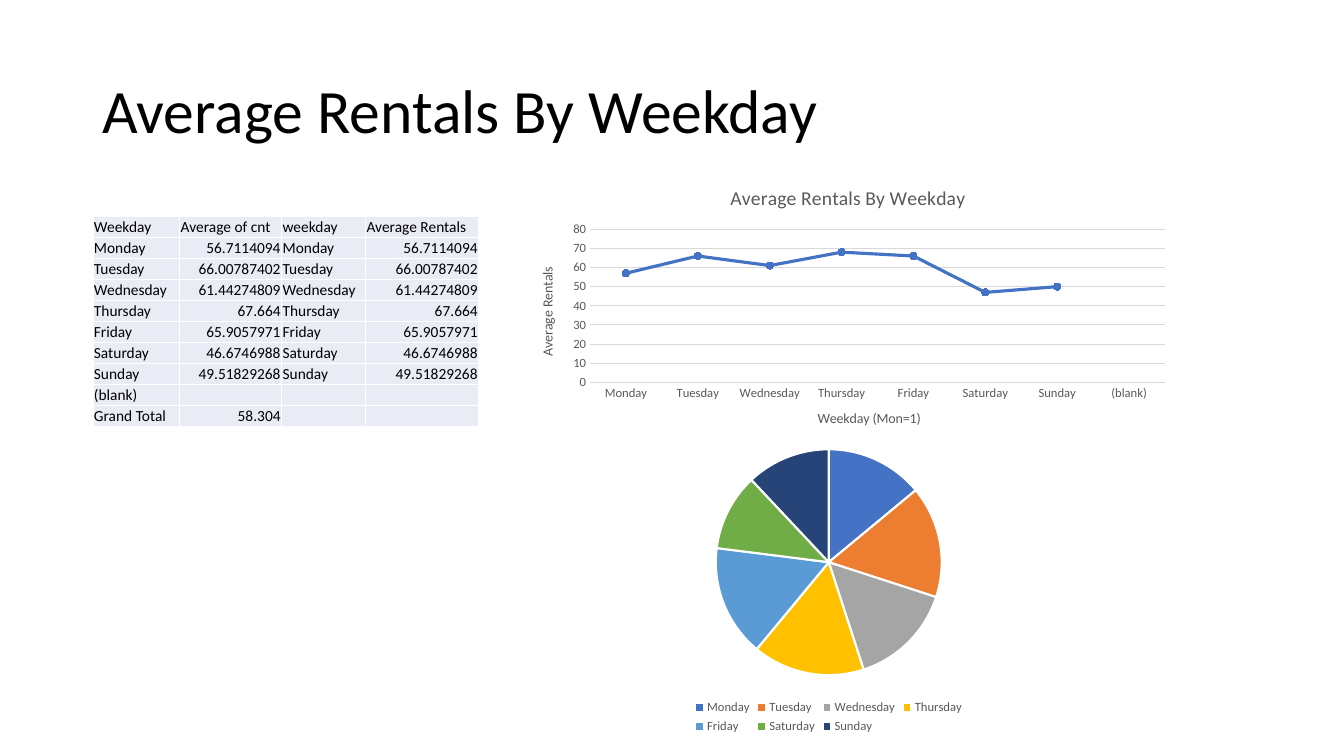
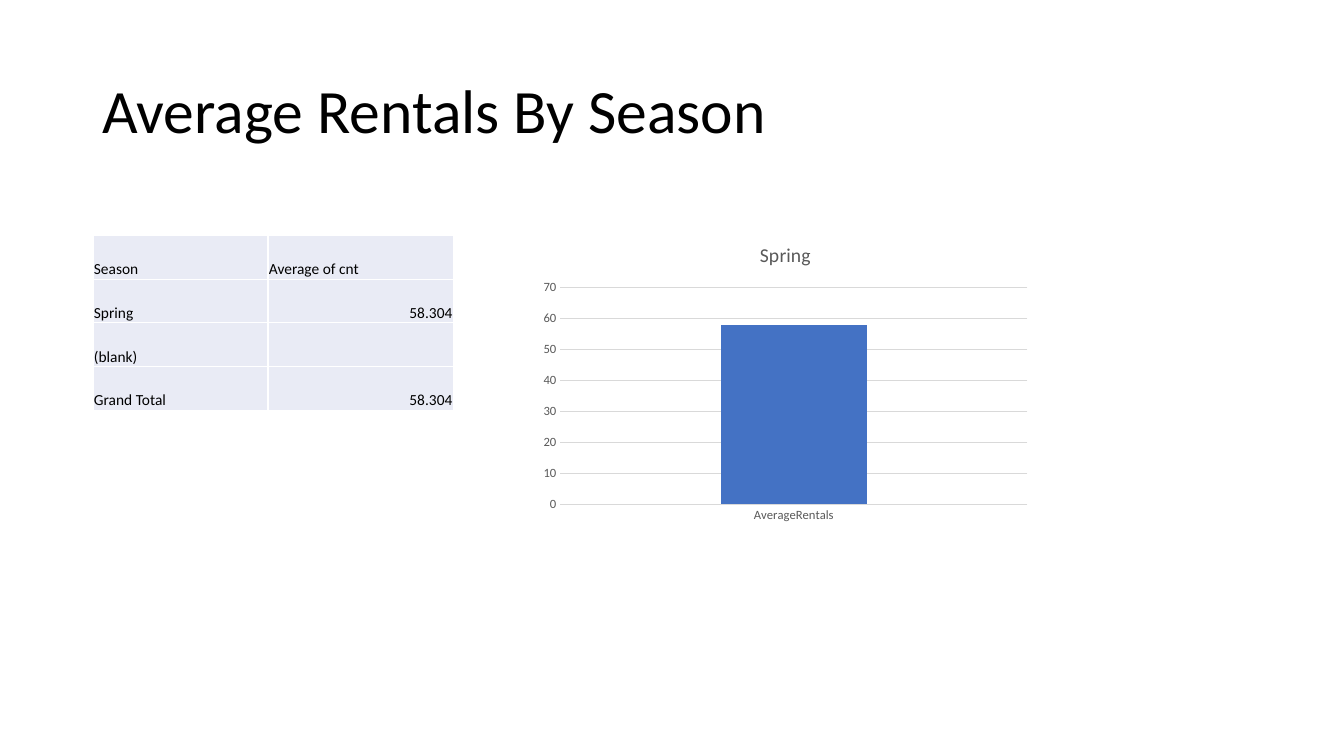
from dataclasses import dataclass
from typing import Optional

import pptx
import pptx.chart.data
import pptx.dml.color
import pptx.enum.chart
import pptx.enum.text
import pptx.oxml
import pptx.oxml.ns
import pptx.util
from lxml import etree

Pt = pptx.util.Pt
ChartType = pptx.enum.chart.XL_CHART_TYPE

FONT = "Calibri"
COLORS = {
    "text": "000000", "chart_text": "595959", "grid": "D9D9D9",
    "cell": "E9EBF5", "white": "FFFFFF", "blue": "4472C4",
}
PIE_COLORS = ["4472C4", "ED7D31", "A5A5A5", "FFC000", "5B9BD5", "70AD47", "264478"]

# Content
RENTALS_BY_DAY = {
    "Monday": "56.7114094", "Tuesday": "66.00787402", "Wednesday": "61.44274809",
    "Thursday": "67.664", "Friday": "65.9057971", "Saturday": "46.6746988",
    "Sunday": "49.51829268",
}
OVERALL_AVERAGE = "58.304"


@dataclass
class Box:
    left: float
    top: float
    width: float
    height: float

    def lengths(self) -> tuple:
        return Pt(self.left), Pt(self.top), Pt(self.width), Pt(self.height)


@dataclass
class TableSpec:
    left: float
    top: float
    columns: list[float]
    row_height: float
    rows: list[list[str]]


@dataclass
class ChartSpec:
    kind: ChartType
    box: Box
    categories: list[str]
    values: list[Optional[int]]
    series: str = "Series 1"
    title: str = ""
    category_title: str = ""
    value_title: str = ""
    maximum: int = 0


TITLE_BOX = Box(66, 29, 828, 104.4)


def rgb(name: str) -> pptx.dml.color.RGBColor:
    return pptx.dml.color.RGBColor.from_string(COLORS.get(name, name))


def set_font(font, size: float, color: str) -> None:
    font.name, font.size, font.bold = FONT, Pt(size), False
    font.color.rgb = rgb(color)


def add_title(slide, text: str) -> None:
    frame = slide.shapes.add_textbox(*TITLE_BOX.lengths()).text_frame
    frame.word_wrap = True
    frame.vertical_anchor = pptx.enum.text.MSO_ANCHOR.MIDDLE
    heading = frame.paragraphs[0]
    heading.text = text
    heading.line_spacing = 0.9
    set_font(heading.font, 44, "text")


# Tables
def add_borders(cell) -> None:
    properties = cell._tc.get_or_add_tcPr()
    for side in ("lnL", "lnR", "lnT", "lnB"):
        properties.append(pptx.oxml.parse_xml(
            f'<a:{side} {pptx.oxml.ns.nsdecls("a")} w="{Pt(1)}"><a:solidFill>'
            f'<a:srgbClr val="{COLORS["white"]}"/></a:solidFill></a:{side}>'))


def fill_cell(cell, text: str) -> None:
    add_borders(cell)
    cell.fill.solid()
    cell.fill.fore_color.rgb = rgb("cell")
    cell.margin_left = cell.margin_right = cell.margin_top = Pt(0.7)
    cell.margin_bottom = 0
    cell.vertical_anchor = pptx.enum.text.MSO_ANCHOR.BOTTOM
    paragraph = cell.text_frame.paragraphs[0]
    if text:
        paragraph.text = text
    set_font(paragraph.font, 11, "text")
    if text[:1].isdigit():
        paragraph.alignment = pptx.enum.text.PP_ALIGN.RIGHT
    if not text:
        # An empty cell takes its line height from the end mark
        etree.SubElement(paragraph._p, pptx.oxml.ns.qn("a:endParaRPr"), sz="1100")


def add_data_table(slide, spec: TableSpec) -> None:
    box = Box(spec.left, spec.top, sum(spec.columns), spec.row_height * len(spec.rows))
    table = slide.shapes.add_table(len(spec.rows), len(spec.columns), *box.lengths()).table
    table.first_row = table.horz_banding = False
    for column, width in zip(table.columns, spec.columns):
        column.width = Pt(width)
    for row, texts in zip(table.rows, spec.rows):
        row.height = Pt(spec.row_height)
        for cell, text in zip(row.cells, texts):
            fill_cell(cell, text)


# Charts
def write_chart_text(title, text: str, size: float) -> None:
    paragraph = title.text_frame.paragraphs[0]
    paragraph.text = text
    set_font(paragraph.font, size, "chart_text")
    set_font(paragraph.runs[0].font, size, "chart_text")


def style_axis(axis, title: str) -> None:
    axis.major_tick_mark = axis.minor_tick_mark = pptx.enum.chart.XL_TICK_MARK.NONE
    set_font(axis.tick_labels.font, 9, "chart_text")
    axis.has_title = bool(title)
    if title:
        write_chart_text(axis.axis_title, title, 10)


def style_axes(chart, spec: ChartSpec) -> None:
    style_axis(chart.category_axis, spec.category_title)
    style_axis(chart.value_axis, spec.value_title)
    chart.value_axis.minimum_scale = 0
    chart.value_axis.maximum_scale = spec.maximum
    chart.value_axis.major_unit = 10
    chart.value_axis.format.line.fill.background()
    for line in (chart.category_axis.format.line, chart.value_axis.major_gridlines.format.line):
        line.color.rgb = rgb("grid")
        line.width = Pt(0.75)
    if spec.value_title:
        body = chart.value_axis.axis_title.text_frame._txBody.bodyPr
        body.set("rot", "-5400000")
        body.set("vert", "horz")


def style_line(series) -> None:
    series.smooth = False
    series.format.line.color.rgb = rgb("blue")
    series.format.line.width = Pt(2.25)
    marker = series.marker
    marker.style = pptx.enum.chart.XL_MARKER_STYLE.CIRCLE
    marker.size = 5
    marker.format.fill.solid()
    marker.format.fill.fore_color.rgb = rgb("blue")
    marker.format.line.color.rgb = rgb("blue")


def style_pie(chart) -> None:
    for index, color in enumerate(PIE_COLORS):
        slice_format = chart.plots[0].series[0].points[index].format
        slice_format.fill.solid()
        slice_format.fill.fore_color.rgb = rgb(color)
        slice_format.line.color.rgb = rgb("white")
        slice_format.line.width = Pt(1.5)
    chart.has_legend = True
    chart.legend.position = pptx.enum.chart.XL_LEGEND_POSITION.BOTTOM
    chart.legend.include_in_layout = False
    set_font(chart.legend.font, 9, "chart_text")


def style_columns(plot) -> None:
    plot.gap_width, plot.overlap = 219, -27
    fill = plot.series[0].format.fill
    fill.solid()
    fill.fore_color.rgb = rgb("blue")


def add_data_chart(slide, spec: ChartSpec) -> None:
    data = pptx.chart.data.CategoryChartData()
    data.categories = spec.categories
    data.add_series(spec.series, spec.values)
    chart = slide.shapes.add_chart(spec.kind, *spec.box.lengths(), data).chart
    set_font(chart.font, 10, "text")
    chart.has_legend = False
    chart.has_title = bool(spec.title)
    if spec.title:
        write_chart_text(chart.chart_title, spec.title, 14)
        chart.chart_title.include_in_layout = False
    plot = chart.plots[0]
    plot.vary_by_categories = spec.kind == ChartType.PIE
    if spec.kind == ChartType.PIE:
        style_pie(chart)
        return
    style_axes(chart, spec)
    if spec.kind == ChartType.LINE_MARKERS:
        style_line(plot.series[0])
    else:
        style_columns(plot)


def add_weekday_slide(slide) -> None:
    days = list(RENTALS_BY_DAY)
    averages = [float(value) for value in RENTALS_BY_DAY.values()]
    add_title(slide, "Average Rentals By Weekday")
    add_data_table(slide, TableSpec(66.4, 154.4, [62, 72.8, 60, 80.8], 15, [
        ["Weekday", "Average of cnt", "weekday", "Average Rentals"],
        *([day, value] * 2 for day, value in RENTALS_BY_DAY.items()),
        ["(blank)", "", "", ""],
        ["Grand Total", OVERALL_AVERAGE, "", ""],
    ]))
    add_data_chart(slide, ChartSpec(
        ChartType.LINE_MARKERS, Box(370, 121, 471.6, 198.7), days + ["(blank)"],
        [round(value) for value in averages] + [None],
        title="Average Rentals By Weekday", category_title="Weekday (Mon=1)",
        value_title="Average Rentals", maximum=80))
    # Each day's share of the week, in percent
    add_data_chart(slide, ChartSpec(
        ChartType.PIE, Box(412, 311, 360, 216), days,
        [round(100 * value / sum(averages)) for value in averages]))


def add_season_slide(slide) -> None:
    add_title(slide, "Average Rentals By Season")
    add_data_table(slide, TableSpec(66.4, 168.2, [125, 132.5], 31.2, [
        ["Season", "Average of cnt"],
        ["Spring", OVERALL_AVERAGE],
        ["(blank)", ""],
        ["Grand Total", OVERALL_AVERAGE],
    ]))
    add_data_chart(slide, ChartSpec(
        ChartType.COLUMN_CLUSTERED, Box(381, 162, 360, 216), ["AverageRentals"],
        [round(float(OVERALL_AVERAGE))], series="Spring", title="Spring", maximum=70))


def main() -> None:
    deck = pptx.Presentation()
    deck.slide_width, deck.slide_height = Pt(960), Pt(540)
    blank = deck.slide_layouts[6]
    for build in (add_weekday_slide, add_season_slide):
        build(deck.slides.add_slide(blank))
    deck.save("out.pptx")


if __name__ == "__main__":
    main()
